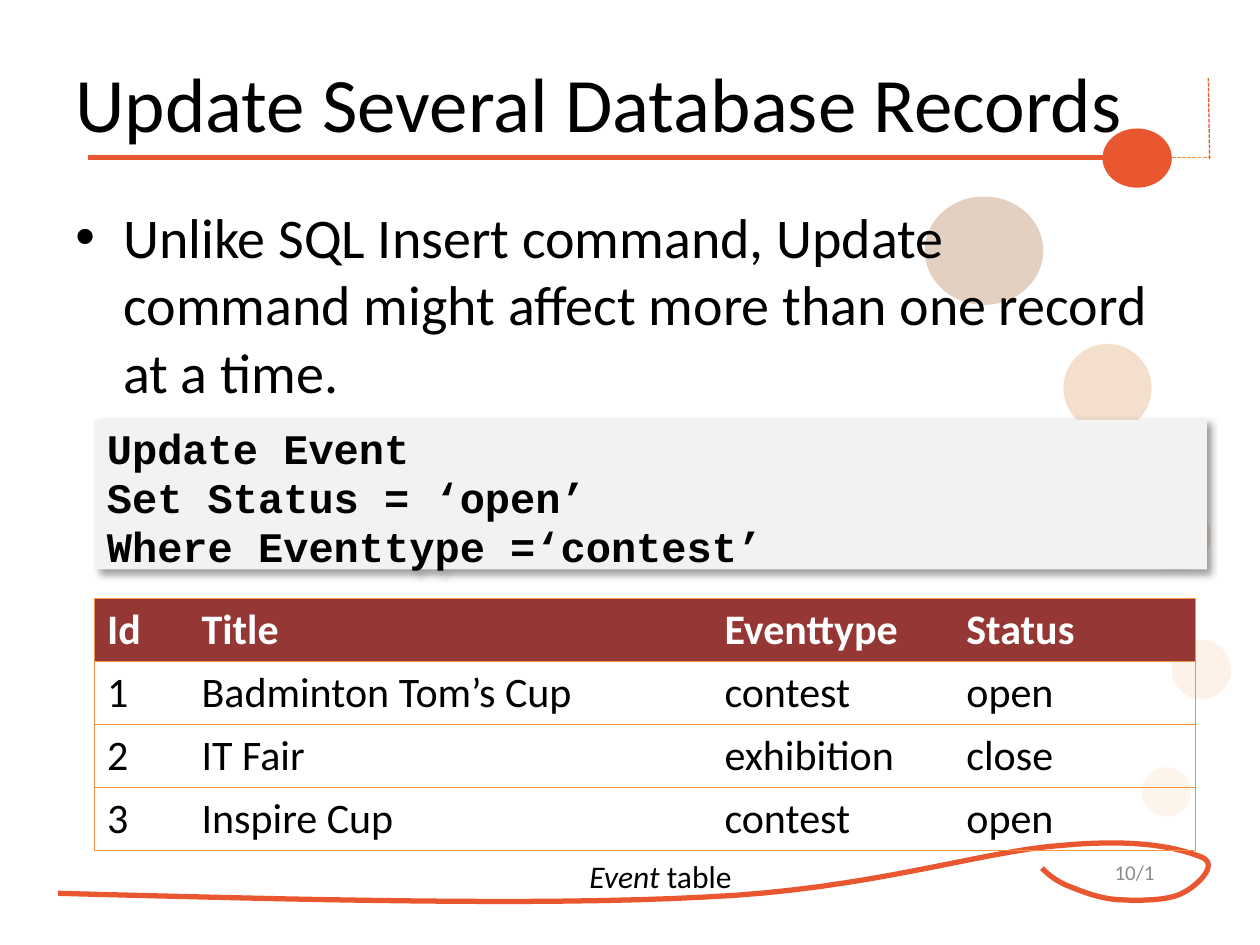
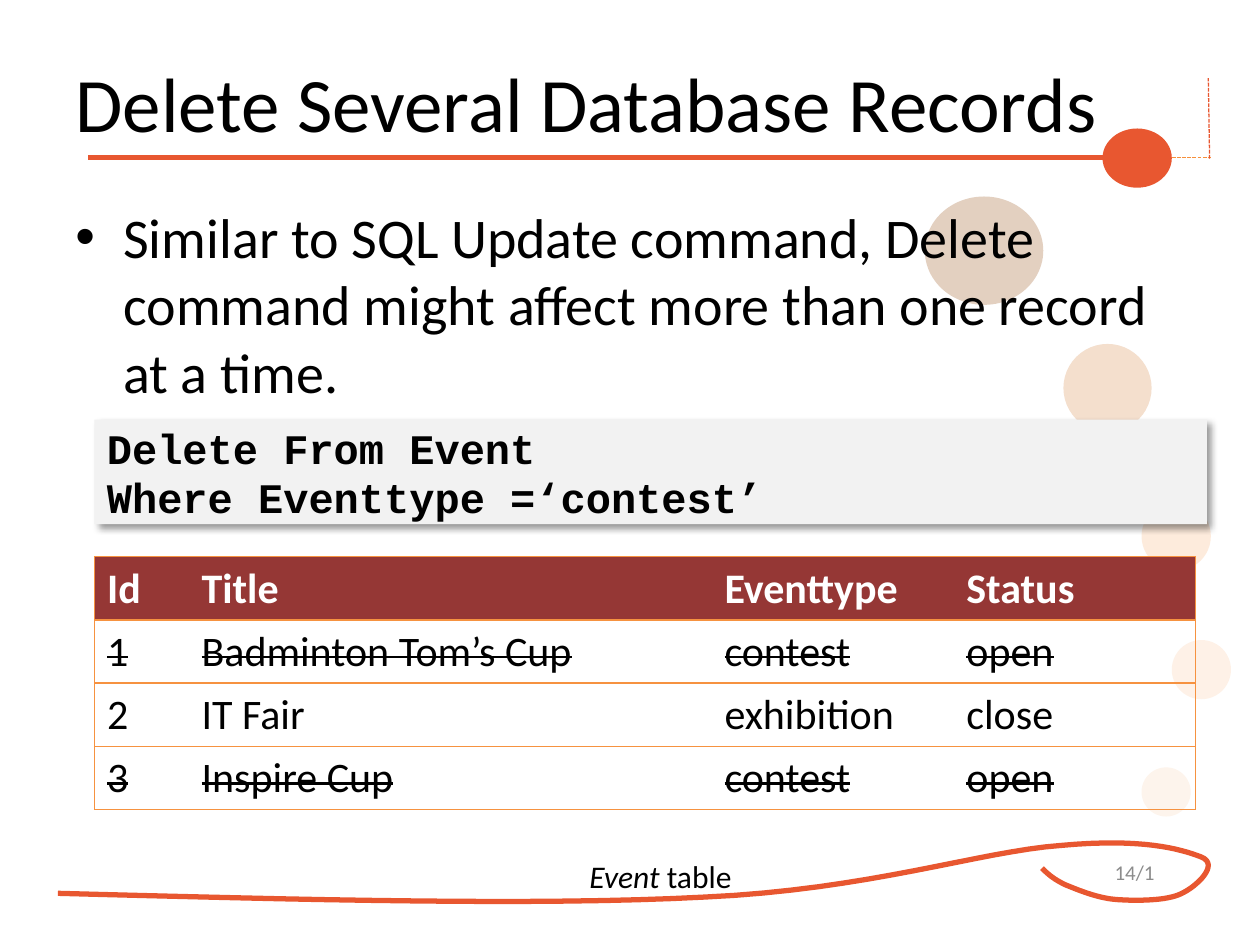
"""Build two slides on updating and deleting several database records."""
import dataclasses
import typing

import lxml.etree
import pptx
import pptx.dml.color
import pptx.enum.dml
import pptx.enum.shapes
import pptx.enum.text
import pptx.oxml.ns
import pptx.util

PX = 9144
SANS = "Calibri"
MONO = "Courier New"
HUES = {
    "black": "000000", "white": "FFFFFF", "grey": "8C8C8C", "pale": "F2F2F2",
    "red": "E85730", "head": "953735", "edge": "F69240", "dash": "F6903C",
    "brown": "904406", "rust": "C85F08", "orange": "F57B17",
    "amber": "F67B16", "peach": "F59545",
}
Box = tuple[int, int, int, int]
Point = tuple[float, float]
ANCHOR = pptx.enum.text.MSO_ANCHOR
ALIGN = pptx.enum.text.PP_ALIGN
SHAPE = pptx.enum.shapes.MSO_SHAPE


@dataclasses.dataclass(frozen=True)
class Disc:
    box: Box
    hue: str
    alpha: int = 100


@dataclasses.dataclass(frozen=True)
class Rule:
    start: tuple[int, int]
    end: tuple[int, int]
    hue: str
    width: float = 0.75
    dashed: bool = True


@dataclasses.dataclass(frozen=True)
class Page:
    title: str
    point: str
    code: tuple[str, ...]
    code_high: int
    table_top: int
    number: str
    struck: tuple[int, ...] = ()


DISCS = (
    Disc((734, 156, 94, 86), "brown", 25),
    Disc((844, 273, 70, 70), "rust", 20),
    Disc((906, 398, 55, 55), "orange", 15),
    Disc((930, 508, 47, 47), "amber", 10),
    Disc((906, 609, 39, 39), "peach", 10),
    Disc((875, 102, 55, 47), "red"),
)
RULES = (
    Rule((70, 125), (875, 125), "red", 3, False),
    Rule((930, 125), (961, 125), "dash"),
    Rule((960, 126), (959, 62), "red"),
)
SWIRL = (
    (46, 709), (236, 714), (426, 719), (559, 712), (691, 706), (776, 676),
    (842, 671), (908, 665), (937, 674), (953, 680), (969, 686), (949, 704),
    (938, 709), (927, 715), (902, 715), (887, 714), (871, 713), (855, 706),
    (845, 702), (835, 697), (831, 693), (827, 689),
)
COLS = (75, 415, 192, 192)
ROWS = (
    ("Id", "Title", "Eventtype", "Status"),
    ("1", "Badminton Tom’s Cup", "contest", "open"),
    ("2", "IT Fair", "exhibition", "close"),
    ("3", "Inspire Cup", "contest", "open"),
)
PAGES = (
    Page("Update Several Database Records",
         "Unlike SQL Insert command, Update command might affect "
         "more than one record at a time.",
         ("Update Event", "Set Status = ‘open’", "Where Eventtype =‘contest’"),
         119, 475, "10/1"),
    Page("Delete Several Database Records",
         "Similar to SQL Update command, Delete command might affect "
         "more than one record at a time.",
         ("Delete From Event", "Where Eventtype =‘contest’"),
         83, 442, "14/1", (1, 3)),
)


def paint(hue: str) -> pptx.dml.color.RGBColor:
    """Turn a colour name into a colour value."""
    return pptx.dml.color.RGBColor.from_string(HUES[hue])


def scale(box: typing.Iterable[float]) -> list[int]:
    """Turn px lengths into EMU."""
    return [round(n * PX) for n in box]


def node(root, tag: str, **attrs):
    """Append a drawing element to root."""
    return lxml.etree.SubElement(root, pptx.oxml.ns.qn(tag),
                                 {k: str(v) for k, v in attrs.items()})


def write(para, text: str, size: float, hue: str = "black", face: str = SANS,
          bold: bool = False, slant: bool = False, strike: bool = False) -> None:
    """Add one formatted run to a paragraph."""
    run = para.add_run()
    run.text = text
    font = run.font
    font.size = pptx.util.Pt(size)
    font.name = face
    font.bold = bold
    font.italic = slant
    font.color.rgb = paint(hue)
    if strike:
        font._element.set("strike", "sngStrike")


def add_box(slide, box: Box, anchor=ANCHOR.TOP):
    """Add a wrapping text box and return its first paragraph."""
    frame = slide.shapes.add_textbox(*scale(box)).text_frame
    frame.word_wrap = True
    frame.vertical_anchor = anchor
    return frame.paragraphs[0]


def add_form(slide, kind, box: Box, hue: str):
    """Add a flat shape with no outline."""
    form = slide.shapes.add_shape(kind, *scale(box))
    form.shadow.inherit = False
    form.fill.solid()
    form.fill.fore_color.rgb = paint(hue)
    form.line.fill.background()
    return form


def add_disc(slide, disc: Disc) -> None:
    """Draw a disc, see-through where asked."""
    form = add_form(slide, SHAPE.OVAL, disc.box, disc.hue)
    if disc.alpha < 100:
        tint = form.element.spPr.find(".//" + pptx.oxml.ns.qn("a:srgbClr"))
        node(tint, "a:alpha", val=disc.alpha * 1000)


def add_rule(slide, rule: Rule) -> None:
    """Draw a straight line."""
    wire = slide.shapes.add_connector(
        pptx.enum.shapes.MSO_CONNECTOR.STRAIGHT, *scale(rule.start + rule.end))
    wire.line.color.rgb = paint(rule.hue)
    wire.line.width = pptx.util.Pt(rule.width)
    if rule.dashed:
        wire.line.dash_style = pptx.enum.dml.MSO_LINE.SQUARE_DOT
    node(wire.element.spPr, "a:effectLst")


def bend(knots: typing.Sequence[Point], steps: int = 16) -> list[Point]:
    """Trace a chain of cubic curves as points."""
    dots = [knots[0]]
    for k in range(0, len(knots) - 1, 3):
        for step in range(1, steps + 1):
            t = step / steps
            parts = ((1 - t) ** 3, 3 * t * (1 - t) ** 2, 3 * t * t * (1 - t), t ** 3)
            dots.append(tuple(sum(w * knot[axis] for w, knot in zip(parts, knots[k:k + 4]))
                              for axis in (0, 1)))
    return dots


def add_swirl(slide) -> None:
    """Draw the looped line at the foot."""
    dots = [scale(dot) for dot in bend(SWIRL)]
    pen = slide.shapes.build_freeform(*dots[0], scale=1.0)
    pen.add_line_segments(dots[1:], close=False)
    form = pen.convert_to_shape()
    form.shadow.inherit = False
    form.fill.background()
    form.line.color.rgb = paint("red")
    form.line.width = pptx.util.Pt(3)


def add_frame(slide, page: Page) -> None:
    """Draw the parts that all slides share, and the title."""
    para = add_box(slide, (867, 672, 67, 40), ANCHOR.MIDDLE)
    para.alignment = ALIGN.CENTER
    write(para, page.number, 12, "grey")
    add_swirl(slide)
    for disc in DISCS:
        add_disc(slide, disc)
    for rule in RULES:
        add_rule(slide, rule)
    title = slide.shapes.title
    title.left, title.top, title.width, title.height = scale((50, 20, 908, 121))
    frame = title.text_frame
    frame.auto_size = pptx.enum.text.MSO_AUTO_SIZE.NONE
    frame.vertical_anchor = ANCHOR.MIDDLE
    frame.paragraphs[0].alignment = ALIGN.LEFT
    write(frame.paragraphs[0], page.title, 44)


def add_point(slide, text: str) -> None:
    """Add the bullet point."""
    para = add_box(slide, (50, 156, 895, 492))
    props = para._p.get_or_add_pPr()
    props.set("marL", str(38 * PX))
    props.set("indent", str(-38 * PX))
    node(props, "a:buFont", typeface="Arial")
    node(props, "a:buChar", char="•")
    write(para, text, 32)


def add_code(slide, lines: typing.Sequence[str], high: int) -> None:
    """Add the code panel with its drop shadow."""
    form = add_form(slide, SHAPE.RECTANGLE, (75, 333, 883, high), "pale")
    glow = form.element.spPr.find(pptx.oxml.ns.qn("a:effectLst"))
    shade = node(glow, "a:outerShdw", blurRad=pptx.util.Pt(4), dist=pptx.util.Pt(3),
                 dir=45 * 60000, algn="tl", rotWithShape=0)
    node(node(shade, "a:srgbClr", val=HUES["black"]), "a:alpha", val=40000)
    frame = form.text_frame
    frame.word_wrap = True
    frame.vertical_anchor = ANCHOR.TOP
    for k, line in enumerate(lines):
        para = frame.add_paragraph() if k else frame.paragraphs[0]
        para.alignment = ALIGN.LEFT
        para.line_spacing = 0.97
        write(para, line, 24, face=MONO, bold=True)


def edge(cell, sides: dict[str, bool]) -> None:
    """Set which sides of a cell have a line."""
    props = cell._tc.get_or_add_tcPr()
    for k, (side, shown) in enumerate(sides.items()):
        line = node(props, "a:ln" + side, w=pptx.util.Pt(0.75))
        if shown:
            node(node(line, "a:solidFill"), "a:srgbClr", val=HUES["edge"])
        else:
            node(line, "a:noFill")
        props.insert(k, line)


def add_grid(slide, top: int, struck: typing.Sequence[int]) -> None:
    """Add the event table, with some rows struck out."""
    high = 50
    box = scale((75, top, sum(COLS), high * len(ROWS)))
    grid = slide.shapes.add_table(len(ROWS), len(COLS), *box).table
    grid.horz_banding = False
    for col, width in zip(grid.columns, COLS):
        col.width = width * PX
    for r, row in enumerate(ROWS):
        grid.rows[r].height = high * PX
        for c, text in enumerate(row):
            cell = grid.cell(r, c)
            if r:
                cell.fill.background()
            else:
                cell.fill.solid()
                cell.fill.fore_color.rgb = paint("head")
            edge(cell, {"L": c == 0, "R": c == len(COLS) - 1, "T": True, "B": True})
            write(cell.text_frame.paragraphs[0], text, 24,
                  "black" if r else "white", bold=r == 0, strike=r in struck)


def main() -> None:
    """Build and save the deck."""
    deck = pptx.Presentation()
    deck.slide_width, deck.slide_height = scale((1000, 750))
    for page in PAGES:
        slide = deck.slides.add_slide(deck.slide_layouts[5])
        add_frame(slide, page)
        add_point(slide, page.point)
        add_code(slide, page.code, page.code_high)
        add_grid(slide, page.table_top, page.struck)
        label = add_box(slide, (458, 675, 141, 40))
        write(label, "Event", 18, slant=True)
        write(label, " table", 18)
    deck.save("out.pptx")


if __name__ == "__main__":
    main()
